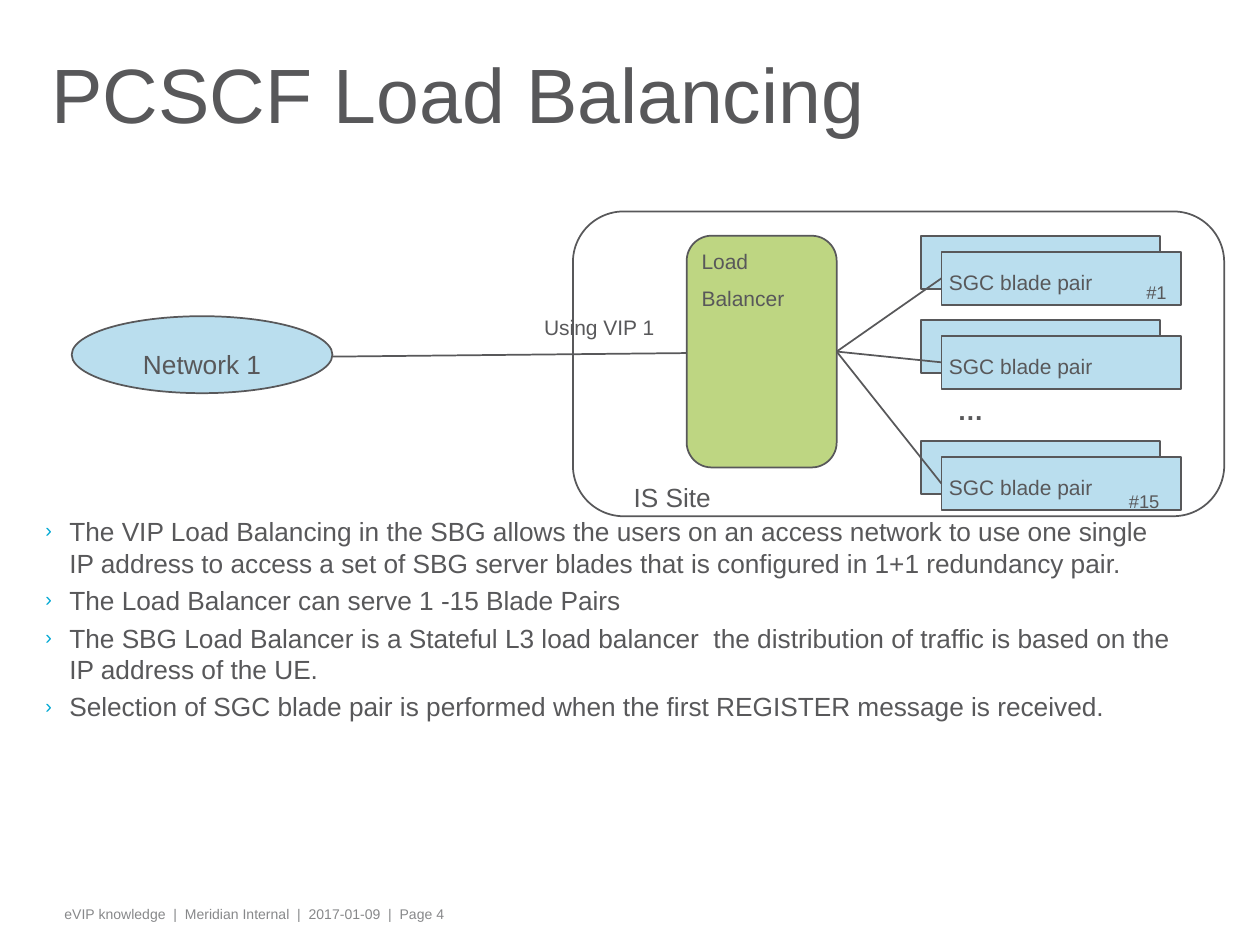
"""Builds the slide that explains PCSCF load balancing."""
from dataclasses import dataclass

from lxml import etree
from pptx import Presentation
from pptx.dml.color import RGBColor
from pptx.enum.shapes import MSO_CONNECTOR, MSO_SHAPE
from pptx.enum.text import MSO_ANCHOR, MSO_AUTO_SIZE, PP_ALIGN
from pptx.oxml.ns import qn
from pptx.util import Pt

RECTANGLE, ROUNDED, OVAL = MSO_SHAPE.RECTANGLE, MSO_SHAPE.ROUNDED_RECTANGLE, MSO_SHAPE.OVAL
STRAIGHT = MSO_CONNECTOR.STRAIGHT
LEFT, CENTER = PP_ALIGN.LEFT, PP_ALIGN.CENTER
TOP, MIDDLE = MSO_ANCHOR.TOP, MSO_ANCHOR.MIDDLE
FIXED, GROW = MSO_AUTO_SIZE.NONE, MSO_AUTO_SIZE.SHAPE_TO_FIT_TEXT
LEFT_SIDE, RIGHT_SIDE = 1, 3


@dataclass(frozen=True)
class Theme:
    font: str = "Arial"
    ink: str = "58585A"
    muted: str = "87888A"
    accent: str = "00A9D4"
    blue: str = "BADEEE"
    green: str = "BED682"
    title: float = 44
    body: float = 15
    label: float = 12
    number: float = 10.5
    footer: float = 8


class Board:
    def __init__(self, slide, theme):
        self.slide, self.theme = slide, theme

    def set_text(self, holder, lines, size, color=None, align=LEFT, spacing=None, gap=0,
                 insets=(7.2, 3.6), anchor=TOP, wrap=True, fit=FIXED, bullet=False):
        frame = holder.text_frame
        frame.word_wrap, frame.auto_size, frame.vertical_anchor = wrap, fit, anchor
        frame.margin_left = frame.margin_right = Pt(insets[0])
        frame.margin_top = frame.margin_bottom = Pt(insets[1])
        for index, line in enumerate(lines):
            paragraph = frame.add_paragraph() if index else frame.paragraphs[0]
            if bullet:
                self.add_bullet(paragraph)
            paragraph.alignment = align
            paragraph.space_before = Pt(gap if index else 0)
            if spacing:
                paragraph.line_spacing = spacing
            run = paragraph.add_run()
            run.text = line
            run.font.name, run.font.size = self.theme.font, Pt(size)
            run.font.color.rgb = RGBColor.from_string(color or self.theme.ink)
        return frame

    def add_bullet(self, paragraph):
        properties = paragraph._p.get_or_add_pPr()
        properties.set("marL", str(Pt(13.7)))
        properties.set("indent", str(Pt(-13.7)))
        color = etree.SubElement(properties, qn("a:buClr"))
        etree.SubElement(color, qn("a:srgbClr"), val=self.theme.accent)
        etree.SubElement(properties, qn("a:buSzPct"), val="75000")
        etree.SubElement(properties, qn("a:buFont"), typeface=self.theme.font)
        etree.SubElement(properties, qn("a:buChar"), char="›")

    def placeholder(self, holder, box, lines, size, **style):
        holder.left, holder.top, holder.width, holder.height = map(Pt, box)
        self.set_text(holder, lines, size, insets=(7.2, 0), **style)

    def label(self, box, text, size, **style):
        holder = self.slide.shapes.add_textbox(*map(Pt, box))
        return self.set_text(holder, [text], size, **{"wrap": False, "fit": GROW, **style})

    def block(self, kind, box, fill=None, lines=(), size=None, parent=None, **style):
        shape = (parent or self.slide).shapes.add_shape(kind, *map(Pt, box))
        shape.shadow.inherit = False
        if fill:
            shape.fill.solid()
            shape.fill.fore_color.rgb = RGBColor.from_string(fill)
        else:
            shape.fill.background()
        self.outline(shape)
        if lines:
            self.set_text(shape, lines, size, insets=(4.3, 2.9), **style)
        return shape

    def blade_pair(self, top):
        pair = self.slide.shapes.add_group_shape()
        self.block(RECTANGLE, (526.2, top, 136.8, 30.3), self.theme.blue, parent=pair)
        return self.block(RECTANGLE, (538, top + 9.2, 136.8, 30.3), self.theme.blue,
                          ["SGC blade pair"], self.theme.label, parent=pair, spacing=1.5)

    def link(self, start, end):
        line = self.slide.shapes.add_connector(STRAIGHT, *map(Pt, (*start, *end)))
        etree.SubElement(line._element.spPr, qn("a:effectLst"))
        self.outline(line)
        return line

    def outline(self, item):
        item.line.color.rgb = RGBColor.from_string(self.theme.ink)
        item.line.width = Pt(1)


def main():
    deck = Presentation()
    deck.slide_width, deck.slide_height = Pt(720), Pt(540)
    slide = deck.slides.add_slide(deck.slide_layouts[1])
    theme = Theme()
    board = Board(slide, theme)

    board.label((31, 514, 582.5, 17.3),
                "eVIP knowledge  |  Meridian Internal  |  2017-01-09  |  Page 4",
                theme.footer, color=theme.muted, insets=(5.8, 3.6), wrap=True, fit=FIXED)
    board.placeholder(slide.placeholders[1], (18.7, 294.5, 657.4, 156.2), [
        "The VIP Load Balancing in the SBG allows the users on an access network to use one "
        "single IP address to access a set of SBG server blades that is configured in 1+1 "
        "redundancy pair.",
        "The Load Balancer can serve 1 -15 Blade Pairs",
        "The SBG Load Balancer is a Stateful L3 load balancer  the distribution of traffic is "
        "based on the IP address of the UE.",
        "Selection of SGC blade pair is performed when the first REGISTER message is received.",
    ], theme.body, gap=3.4, bullet=True)
    board.placeholder(slide.shapes.title, (22.3, 26.6, 590.4, 64.1),
                      ["PCSCF Load Balancing"], theme.title, spacing=0.75, anchor=MIDDLE)

    board.block(OVAL, (41, 180.7, 149, 44), theme.blue, ["Network 1"], theme.body,
                align=CENTER, spacing=1.5)
    blades = [board.blade_pair(top) for top in (134.7, 182.7, 252)]
    hub = (478.1, 200.9)
    blade_links = [board.link(hub, (538, 200)) for _ in blades]
    network_link = board.link((190, 203.8), hub)

    board.label((303.8, 176.4, 78.5, 21.6), "Using VIP 1", theme.label)
    board.block(ROUNDED, (327.4, 120.8, 372.2, 174.2))
    board.label((355, 271.4, 59, 25.2), "IS Site", theme.body)
    ellipsis = board.label((540, 221.8, 29.5, 25.2), "…", theme.body)
    ellipsis.paragraphs[0].runs[0].font.bold = True
    board.label((638, 276.5, 32.4, 20.2), "#15", theme.number)
    board.label((648, 157, 26.6, 20.2), "#1", theme.number)

    balancer = board.block(ROUNDED, (392.4, 134.7, 85.7, 132.4), theme.green,
                           ["Load", "Balancer"], theme.label, gap=6.9)
    network_link.end_connect(balancer, RIGHT_SIDE)
    for blade_link, blade in zip(blade_links, blades):
        blade_link.begin_connect(balancer, RIGHT_SIDE)
        blade_link.end_connect(blade, LEFT_SIDE)

    deck.save("out.pptx")


if __name__ == "__main__":
    main()
